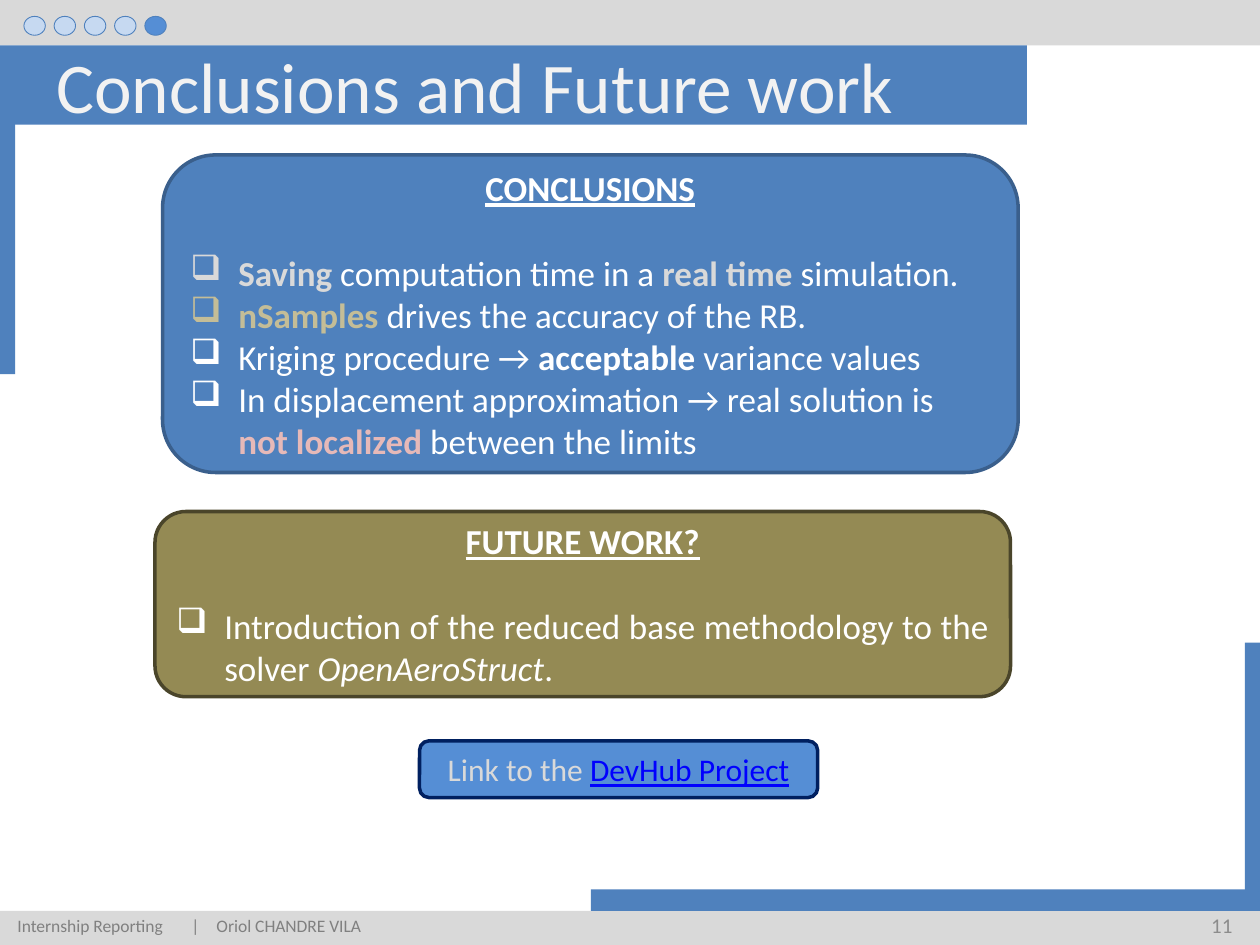
import dataclasses

import lxml.etree
import pptx
import pptx.dml.color
import pptx.enum.shapes
import pptx.enum.text
import pptx.oxml.ns
import pptx.util

SHAPE = pptx.enum.shapes.MSO_SHAPE
ALIGN = pptx.enum.text.PP_ALIGN
ANCHOR = pptx.enum.text.MSO_ANCHOR


@dataclasses.dataclass(frozen=True)
class Theme:
    font: str = "Calibri"
    blue: str = "4F81BD"
    blue_edge: str = "3A5F8C"
    bright: str = "558ED5"
    navy: str = "002060"
    pale: str = "C6D9F1"
    olive: str = "948A54"
    olive_edge: str = "4A452A"
    white: str = "FFFFFF"
    silver: str = "D9D9D9"
    sand: str = "C4BD97"
    rose: str = "E6B9B8"
    link: str = "0000FF"
    title_text: str = "F2F2F2"
    footer_text: str = "808080"
    number_text: str = "8C8C8C"
    title: float = 40.7
    body: float = 20
    button: float = 18
    number: float = 12
    footer: float = 10
    heading_gap: float = 24.4
    hanging: float = 0.38


class Page:
    """Draw styled elements on one slide, placed on a grid of 100 columns by 75 rows."""

    def __init__(self, deck, theme):
        self.theme = theme
        self.slide = deck.slides.add_slide(deck.slide_layouts[6])
        self.column = deck.slide_width / 100
        self.row = deck.slide_height / 75

    def place(self, left, top, width, height):
        return (round(left * self.column), round(top * self.row),
                round(width * self.column), round(height * self.row))

    def shape(self, kind, area, fill, edge=None, weight=2):
        shape = self.slide.shapes.add_shape(kind, *self.place(*area))
        shape.shadow.inherit = False
        shape.fill.solid()
        shape.fill.fore_color.rgb = pptx.dml.color.RGBColor.from_string(fill)
        if edge:
            shape.line.color.rgb = pptx.dml.color.RGBColor.from_string(edge)
            shape.line.width = pptx.util.Pt(weight)
        else:
            shape.line.fill.background()
        return shape

    def label(self, area, text, size, color, align=ALIGN.LEFT, anchor=ANCHOR.MIDDLE):
        box = self.slide.shapes.add_textbox(*self.place(*area))
        box.text_frame.word_wrap = True
        box.text_frame.vertical_anchor = anchor
        para = box.text_frame.paragraphs[0]
        para.alignment = align
        self.span(para, text, size, color)
        return para

    def span(self, para, text, size, color, bold=False, italic=False, underline=False):
        span = para.add_run()
        span.text = text
        font = span.font
        font.name, font.size = self.theme.font, pptx.util.Pt(size)
        font.bold, font.italic, font.underline = bold, italic, underline
        font.color.rgb = pptx.dml.color.RGBColor.from_string(color)

    def tabs(self, para, *stops):
        tab_list = lxml.etree.SubElement(para._p.get_or_add_pPr(), pptx.oxml.ns.qn("a:tabLst"))
        for stop in stops:
            lxml.etree.SubElement(tab_list, pptx.oxml.ns.qn("a:tab"),
                                  pos=str(pptx.util.Inches(stop)), algn="l")

    def bullet(self, para):
        properties = para._p.get_or_add_pPr()
        hanging = pptx.util.Inches(self.theme.hanging)
        properties.set("marL", str(hanging))
        properties.set("indent", str(-hanging))
        lxml.etree.SubElement(properties, pptx.oxml.ns.qn("a:buChar"), char="❑")

    def panel(self, area, fill, edge, heading, items, align=ALIGN.LEFT):
        theme = self.theme
        box = self.shape(SHAPE.ROUNDED_RECTANGLE, area, fill, edge)
        frame = box.text_frame
        frame.word_wrap = True
        frame.vertical_anchor = ANCHOR.MIDDLE
        para = frame.paragraphs[0]
        para.alignment = ALIGN.CENTER
        self.span(para, heading, theme.body, theme.white, bold=True, underline=True)
        for index, item in enumerate(items):
            para = frame.add_paragraph()
            para.alignment = align
            if index == 0:
                para.space_before = pptx.util.Pt(theme.heading_gap)
            self.bullet(para)
            for text, style in item:
                self.span(para, text, theme.body, **{"color": theme.white, **style})

    def button(self, area, lead, link):
        theme = self.theme
        box = self.shape(SHAPE.ROUNDED_RECTANGLE, area, theme.bright, theme.navy)
        box.text_frame.word_wrap = True
        para = box.text_frame.paragraphs[0]
        para.alignment = ALIGN.CENTER
        self.span(para, lead, theme.button, theme.silver)
        self.span(para, link, theme.button, theme.link, underline=True)

    def progress(self, total, current):
        for index in range(total):
            fill = self.theme.bright if index == current else self.theme.pale
            self.shape(SHAPE.OVAL, (1.9 + 2.4 * index, 1.3, 1.7, 1.5), fill, self.theme.blue, 0.5)


def main():
    deck = pptx.Presentation()
    deck.slide_width, deck.slide_height = pptx.util.Inches(10), pptx.util.Inches(7.5)
    theme = Theme()
    page = Page(deck, theme)

    bars = [
        ((-2, -1.1, 105.5, 4.7), theme.silver),
        ((-2.2, 72.3, 105.5, 4.6), theme.silver),
        ((-2, 3.6, 83.5, 6.3), theme.blue),
        ((-2.2, 8.4, 3.4, 21.3), theme.blue),
        ((98.8, 51, 3.4, 21.3), theme.blue),
        ((46.9, 70.6, 53.5, 1.7), theme.blue),
    ]
    for area, fill in bars:
        page.shape(SHAPE.RECTANGLE, area, fill)

    page.label((75.5, 71.4, 23.3, 4), "11", theme.number, theme.number_text, ALIGN.RIGHT)
    page.label((3.5, 0.5, 72.7, 12.5), "Conclusions and Future work", theme.title, theme.title_text)
    page.progress(total=5, current=4)

    strong = {"bold": True}
    silver, sand, rose = ({"bold": True, "color": color}
                          for color in (theme.silver, theme.sand, theme.rose))
    page.panel((12.9, 12.3, 67.9, 25.2), theme.blue, theme.blue_edge, "CONCLUSIONS", [
        [("Saving", silver), (" computation time in a ", {}),
         ("real time ", silver), ("simulation.", {})],
        [("nSamples ", sand), ("drives the accuracy of the RB.", {})],
        [("Kriging procedure → ", {}), ("acceptable ", strong), ("variance values", {})],
        [("In displacement approximation → real solution is ", {}),
         ("not localized ", rose), ("between the limits", {})],
    ])
    page.panel((12.3, 40.6, 67.9, 14.7), theme.olive, theme.olive_edge, "FUTURE WORK?", [
        [("Introduction of the reduced base methodology to the solver ", {}),
         ("OpenAeroStruct", {"italic": True}), (".", {})],
    ], ALIGN.JUSTIFY)

    footer = page.label((0.4, 72.1, 65.4, 2.7), "Internship Reporting\t|\tOriol CHANDRE VILA",
                        theme.footer, theme.footer_text, anchor=ANCHOR.TOP)
    page.tabs(footer, 1.38, 1.58)
    page.button((33.3, 58.8, 31.6, 4.5), "Link to the ", "DevHub Project")
    deck.save("out.pptx")


if __name__ == "__main__":
    main()
